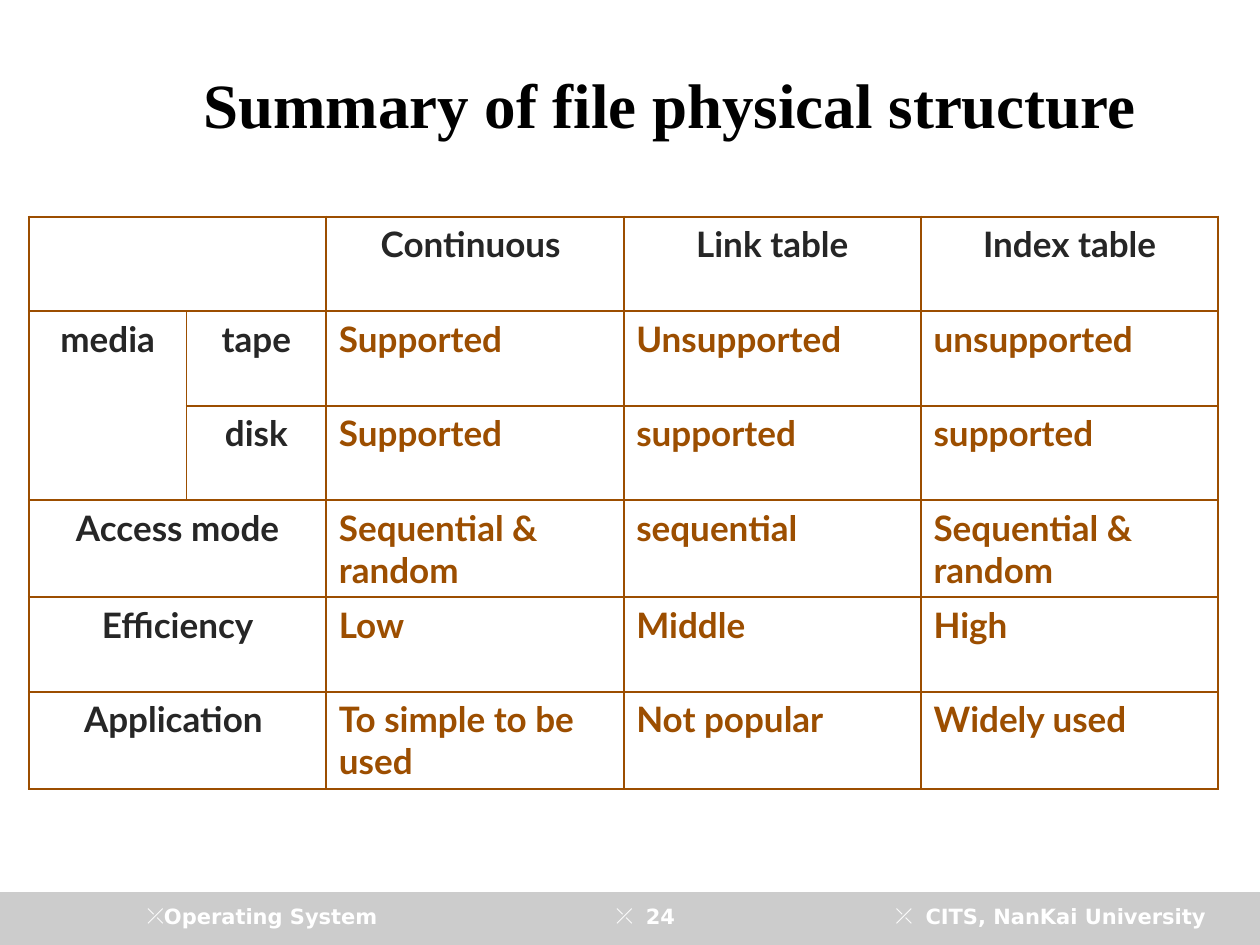
from dataclasses import dataclass

from lxml import etree
from pptx import Presentation
from pptx import util as u
from pptx.dml.color import RGBColor
from pptx.enum import shapes, text
from pptx.oxml.ns import qn


@dataclass(frozen=True)
class Theme:
    black: str = "000000"
    white: str = "FFFFFF"
    band: str = "CCCCCC"
    label: str = "262626"
    accent: str = "9C4E00"
    title_size: int = 36
    table_size: int = 20
    footer_size: int = 12
    title_font: str = "Times New Roman"
    table_font: str = "Lato"
    footer_font: str = "DejaVu Sans"


theme = Theme()
Inches = u.Inches
CENTER, LEFT, RIGHT = text.PP_ALIGN.CENTER, text.PP_ALIGN.LEFT, text.PP_ALIGN.RIGHT


def write(frame, words, font, size, color, align):
    """Put one bold run in the first paragraph of a frame."""
    frame.word_wrap = True
    paragraph = frame.paragraphs[0]
    paragraph.alignment = align
    run = paragraph.add_run()
    run.text = words
    run.font.name, run.font.size, run.font.bold = font, u.Pt(size), True
    run.font.color.rgb = RGBColor.from_string(color)
    return paragraph


def set_border(cell, side, width):
    """Draw one edge (L, R, T or B) of a table cell."""
    line = etree.Element(qn(f"a:ln{side}"), w=str(u.Pt(width)))
    fill = etree.SubElement(line, qn("a:solidFill"))
    etree.SubElement(fill, qn("a:srgbClr"), val=theme.accent)
    cell._tc.get_or_add_tcPr().append(line)


presentation = Presentation()
presentation.slide_width, presentation.slide_height = Inches(10), Inches(7.5)
slide = presentation.slides.add_slide(presentation.slide_layouts[6])

# Footer band
band = slide.shapes.add_shape(shapes.MSO_SHAPE.RECTANGLE, 0, Inches(7.08), Inches(10), Inches(0.42))
band.shadow.inherit = False
band.fill.solid()
band.fill.fore_color.rgb = RGBColor.from_string(theme.band)
band.line.fill.background()

# Title
title = slide.shapes.add_textbox(Inches(1.06), Inches(0.33), Inches(8.51), Inches(0.98))
title.text_frame.vertical_anchor = text.MSO_ANCHOR.MIDDLE
write(title.text_frame, "Summary of file physical structure",
      theme.title_font, theme.title_size, theme.black, CENTER)

# Footer texts, each with a small cross as bullet
for words, left, width, align in [
    ("Operating System", 1.07, 2.75, LEFT),
    ("CITS, NanKai University", 6.5, 3.17, RIGHT),
    ("24", 4.01, 2.33, CENTER),
]:
    footer = slide.shapes.add_textbox(Inches(left), Inches(7.12), Inches(width), Inches(0.33))
    paragraph = write(footer.text_frame, words, theme.footer_font,
                      theme.footer_size, theme.white, align)
    properties = paragraph._p.get_or_add_pPr()
    etree.SubElement(properties, qn("a:buFont"), typeface=theme.footer_font)
    etree.SubElement(properties, qn("a:buChar"), char="⤫")

# Comparison table
rows = [
    ("", "", "Continuous ", "Link table", "Index table"),
    ("media", "tape", "Supported", "Unsupported", "unsupported"),
    ("", "disk", "Supported", "supported", "supported"),
    ("Access mode", "", "Sequential & random", "sequential", "Sequential & random"),
    ("Efficiency", "", "Low", "Middle", "High"),
    ("Application ", "", "To simple to be used", "Not popular", "Widely used"),
]
column_widths = [1.25, 1.11, 2.36, 2.36, 2.36]
row_heights = [0.75, 0.75, 0.75, 0.77, 0.75, 0.77]
comparison = slide.shapes.add_table(
    len(rows), len(column_widths), Inches(0.23), Inches(1.72),
    Inches(sum(column_widths)), Inches(sum(row_heights))).table
for column, width in zip(comparison.columns, column_widths):
    column.width = Inches(width)
for row, height in zip(comparison.rows, row_heights):
    row.height = Inches(height)

# Row labels span two columns, except the media group
for r in (0, 3, 4, 5):
    comparison.cell(r, 0).merge(comparison.cell(r, 1))
comparison.cell(1, 0).merge(comparison.cell(2, 0))

for r, row in enumerate(rows):
    for c, words in enumerate(row):
        cell = comparison.cell(r, c)
        for side in "LRTB":
            media_divider = r in (1, 2) and (c, side) in ((0, "R"), (1, "L"))
            set_border(cell, side, 1 if media_divider else 1.5)
        cell.fill.solid()
        cell.fill.fore_color.rgb = RGBColor.from_string(theme.white)
        is_label = r == 0 or c < 2
        if words:
            write(cell.text_frame, words, theme.table_font, theme.table_size,
                  theme.label if is_label else theme.accent,
                  CENTER if is_label else LEFT)

presentation.save("out.pptx")
